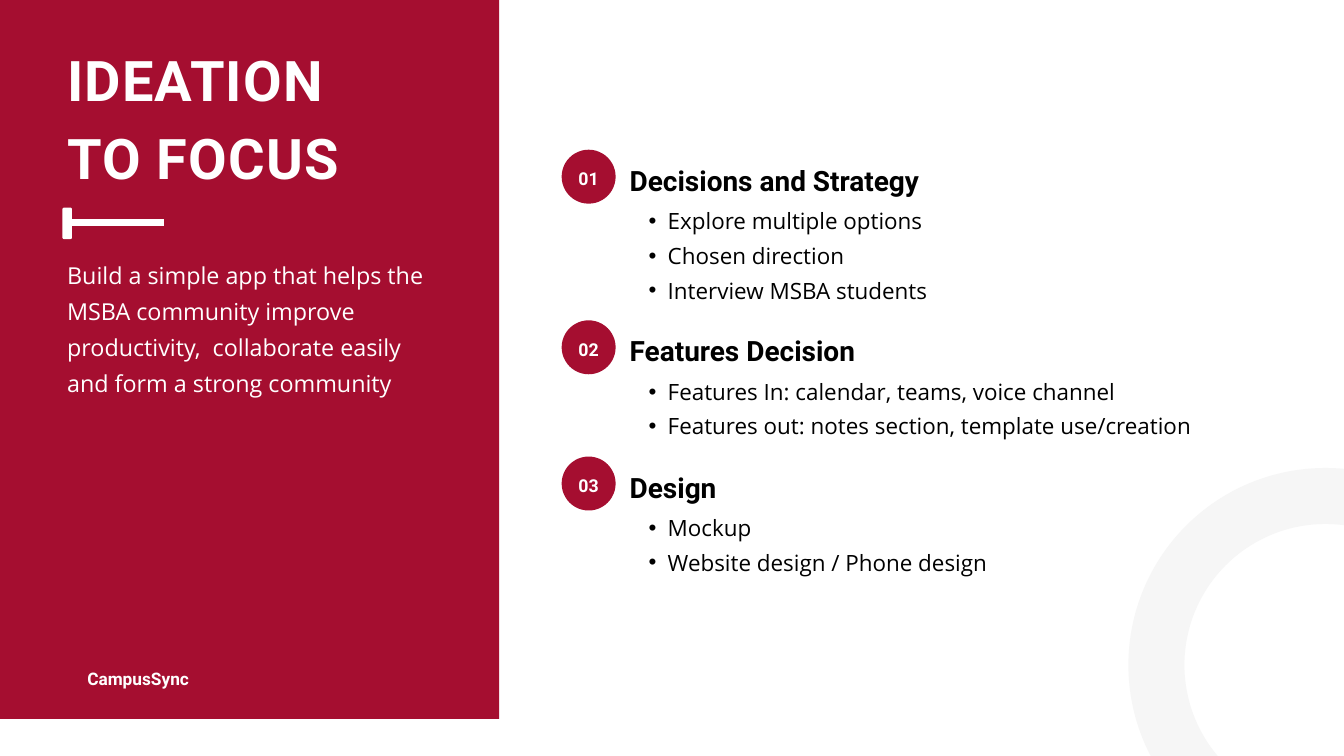
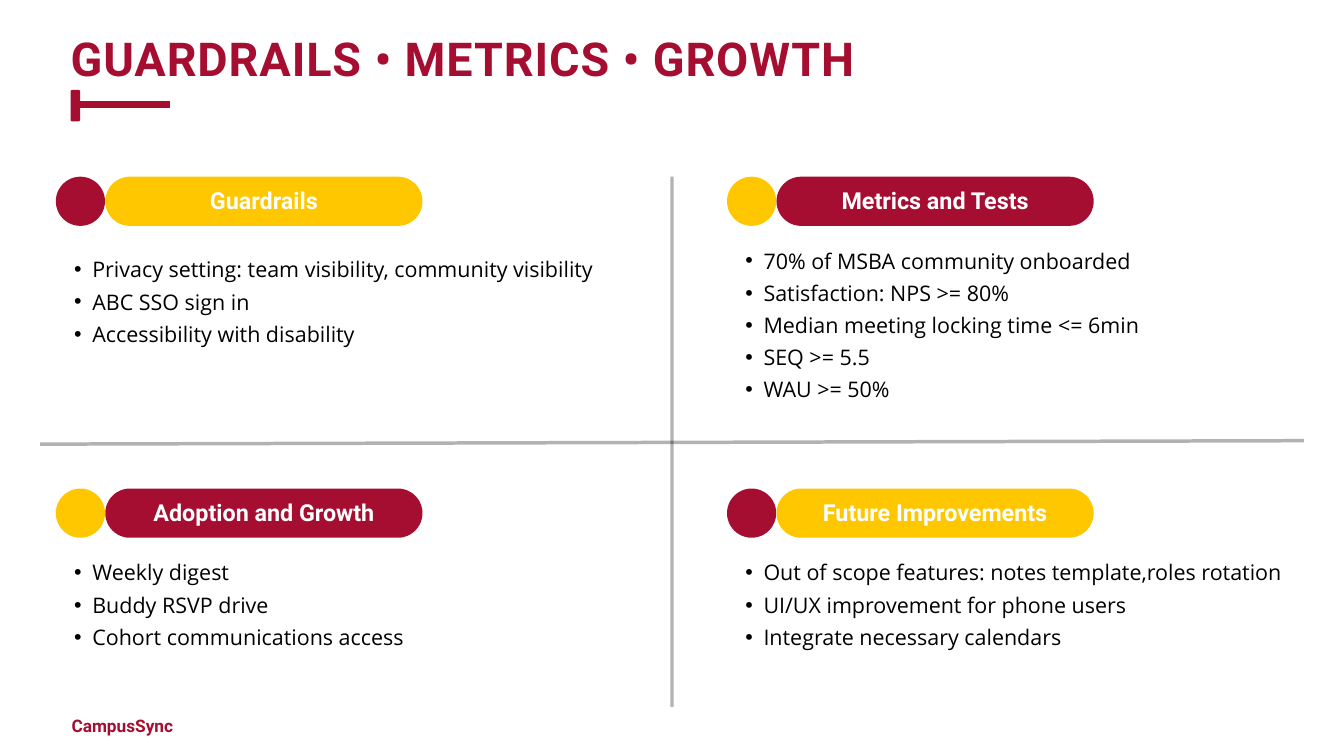
from lxml import etree
from pptx import Presentation
from pptx.dml.color import RGBColor
from pptx.enum import shapes, text
from pptx.oxml.ns import qn
from pptx.util import Cm, Pt

HUES = {"red": "A50E30", "gold": "FFC700", "white": "FFFFFF", "black": "000000", "mist": "F6F6F6"}
KIND = shapes.MSO_SHAPE
SIDE = text.PP_ALIGN


def place(page, x, y, wide, high, kind=None, hue=None):
    spot = Cm(x), Cm(y), Cm(wide), Cm(high)
    if kind is None:
        return page.shapes.add_textbox(*spot)
    item = page.shapes.add_shape(kind, *spot)
    item.shadow.inherit = False
    item.line.fill.background()
    if hue:
        item.fill.solid()
        item.fill.fore_color.rgb = RGBColor.from_string(HUES[hue])
    else:
        item.fill.background()
    return item


def write(item, *lines, size, lead, hue="white", font="Roboto", bold=True, side=SIDE.LEFT,
          mid=False, foot=0, track=0, hang=None):
    frame = item.text_frame
    frame.word_wrap = True
    frame.auto_size = text.MSO_AUTO_SIZE.NONE
    frame.margin_left = frame.margin_right = frame.margin_top = 0
    frame.margin_bottom = Cm(foot)
    frame.vertical_anchor = text.MSO_ANCHOR.MIDDLE if mid else text.MSO_ANCHOR.TOP
    for spot, line in enumerate(lines):
        para = frame.add_paragraph() if spot else frame.paragraphs[0]
        para.alignment = side
        para.line_spacing = Pt(lead)
        para.space_before = para.space_after = Pt(0)
        run = para.add_run()
        run.text = line
        run.font.name = font
        run.font.size = Pt(size)
        run.font.bold = bold
        run.font.color.rgb = RGBColor.from_string(HUES[hue])
        if track:
            run.font._element.set("spc", str(track))
        if hang:
            props = para._p.get_or_add_pPr()
            props.set("marL", str(Cm(2 * hang)))
            props.set("indent", str(Cm(-hang)))
            etree.SubElement(props, qn("a:buFont")).set("typeface", "Arial")
            etree.SubElement(props, qn("a:buChar")).set("char", "•")


deck = Presentation()
deck.slide_width = Cm(50.8)
deck.slide_height = Cm(28.58)
focus, growth = [deck.slides.add_slide(deck.slide_layouts[5]) for _ in range(2)]

panel = place(focus, 0, 0, 18.87, 27.18, KIND.RECTANGLE, "red")
focus.shapes.element.insert(2, panel.element)

ring = place(focus, 43.71, 18.75, 12.78, 12.78, KIND.OVAL)
ring.line.color.rgb = RGBColor.from_string(HUES["mist"])
ring.line.width = Pt(60)

heads = [
    (focus, "IDEATION TO FOCUS", "white", (2.54, 1.3, 12.7, 5.74), 60, 84, 120,
     (3.3, 25.12, 6.6, 0.94), SIDE.LEFT, (2.36, 7.85)),
    (growth, "GUARDRAILS • METRICS • GROWTH", "red", (2.67, 0.76, 34.16, 2.36), 50, 70, 100,
     (2.67, 26.87, 3.91, 0.91), SIDE.CENTER, (2.67, 3.4)),
]
for page, words, hue, spot, size, lead, track, base, side, tick in heads:
    title = page.shapes.title
    title.left, title.top, title.width, title.height = [Cm(n) for n in spot]
    write(title, words, size=size, lead=lead, hue=hue, track=track)
    write(place(page, *base), "CampusSync", size=18.5, lead=26.6, hue=hue, side=side)
    place(page, *tick, 0.36, 1.19, KIND.ROUNDED_RECTANGLE, hue)

rules = [
    (focus, (2.54, 8.41, 6.2, 8.41), "white", 7.5, None),
    (growth, (2.77, 3.96, 6.43, 3.96), "red", 7.5, None),
    (growth, (1.52, 16.79, 49.28, 16.66), "black", 3.75, 30),
    (growth, (25.4, 6.68, 25.4, 26.72), "black", 3.75, 30),
]
for page, ends, hue, thick, tint in rules:
    rule = page.shapes.add_connector(shapes.MSO_CONNECTOR.STRAIGHT, *[Cm(n) for n in ends])
    rule.line.color.rgb = RGBColor.from_string(HUES[hue])
    rule.line.width = Pt(thick)
    props = rule.element.spPr
    etree.SubElement(props, qn("a:effectLst"))
    if tint:
        tone = props.find(".//" + qn("a:srgbClr"))
        etree.SubElement(tone, qn("a:alpha")).set("val", str(tint * 1000))

write(place(focus, 2.54, 9.55, 13.89, 5.33),
      "Build a simple app that helps the MSBA community improve productivity,  "
      "collaborate easily and form a strong community",
      size=25, lead=38.7, font="Open Sans", bold=False)

steps = [
    ("Decisions and Strategy",
     ["Explore multiple options", "Chosen direction", "Interview MSBA students"]),
    ("Features Decision",
     ["Features In: calendar, teams, voice channel",
      "Features out: notes section, template use/creation"]),
    ("Design", ["Mockup", "Website design / Phone design"]),
]
top = 5.66
for count, (name, points) in enumerate(steps, 1):
    badge = place(focus, 21.23, top, 2.04, 2.04, KIND.OVAL, "red")
    write(badge, f"{count:02}", size=19, lead=26.6, side=SIDE.CENTER, mid=True)
    write(place(focus, 23.8, top + 0.3, 15.29, 1.35), name, size=30, lead=42, hue="black")
    write(place(focus, 23.8, top + 1.88, 25.91, 1.3 * len(points)), *points, size=24, lead=37.2,
          hue="black", font="Open Sans", bold=False, side=SIDE.JUSTIFY, hang=0.72)
    top += 2.55 + 1.3 * len(points)

left, right = 2.11, 27.48
upper, lower = 6.68, 18.47
parts = [
    ("Guardrails", left, upper, 2.77, "red", "gold",
     ["Privacy setting: team visibility, community visibility", "ABC SSO sign in",
      "Accessibility with disability"]),
    ("Metrics and Tests", right, upper, 2.44, "gold", "red",
     ["70% of MSBA community onboarded", "Satisfaction: NPS >= 80%",
      "Median meeting locking time <= 6min", "SEQ >= 5.5", "WAU >= 50%"]),
    ("Adoption and Growth", left, lower, 2.44, "gold", "red",
     ["Weekly digest", "Buddy RSVP drive", "Cohort communications access"]),
    ("Future Improvements", right, lower, 2.44, "red", "gold",
     ["Out of scope features: notes template,roles rotation",
      "UI/UX improvement for phone users", "Integrate necessary calendars"]),
]
for name, x, y, drop, dot, hue, points in parts:
    place(growth, x, y, 1.86, 1.86, KIND.OVAL, dot)
    pill = place(growth, x + 1.87, y, 11.99, 1.86, KIND.ROUNDED_RECTANGLE, hue)
    pill.adjustments[0] = 0.5
    write(pill, name, size=25, lead=35, side=SIDE.CENTER, mid=True, foot=0.25)
    write(place(growth, x, y + drop, 21.18, 1.2 * len(points)), *points, size=23, lead=34.5,
          hue="black", font="Open Sans", bold=False, side=SIDE.JUSTIFY, hang=0.69)

deck.save("out.pptx")
